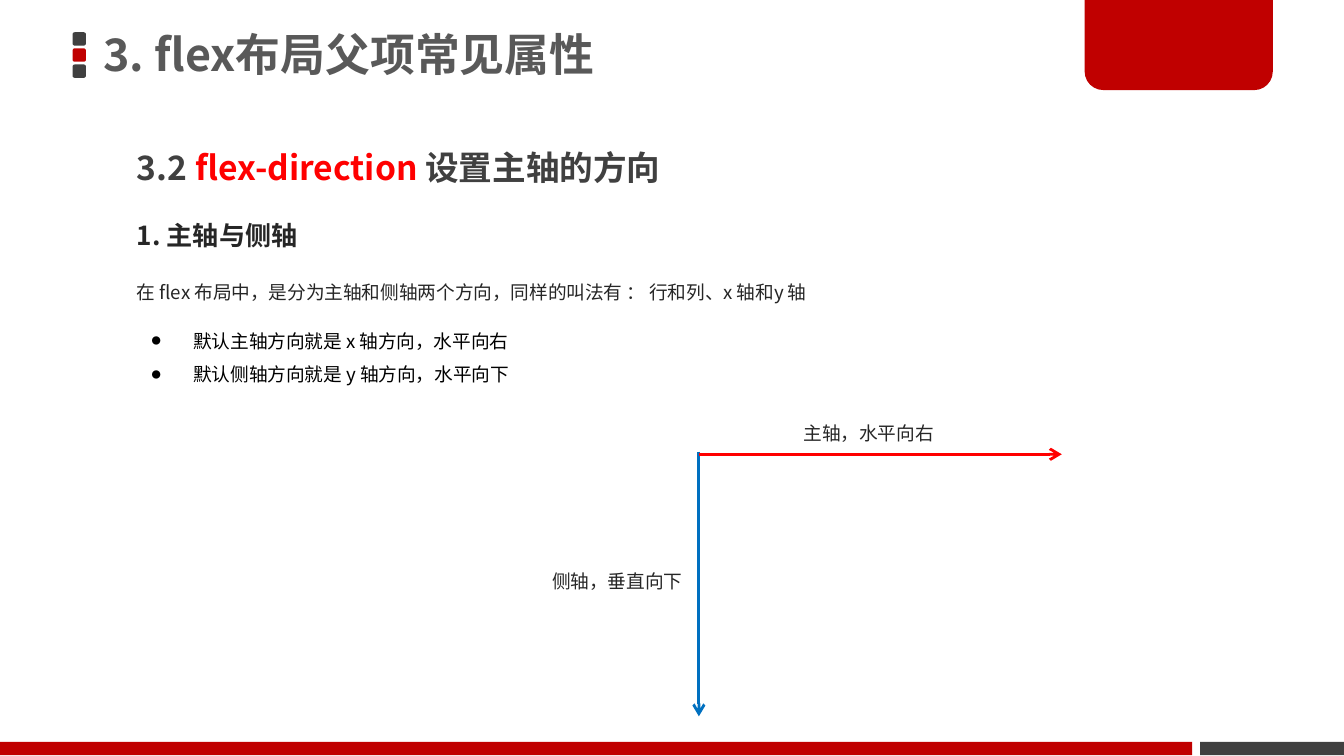
"""Build the slide explaining the main and cross axes of a flex layout."""
import dataclasses

import lxml.etree
import pptx
import pptx.dml.color
import pptx.enum.shapes
import pptx.enum.text
import pptx.oxml.ns
import pptx.util

Inches = pptx.util.Inches
Shapes = pptx.enum.shapes.MSO_SHAPE
Anchor = pptx.enum.text.MSO_ANCHOR
AutoSize = pptx.enum.text.MSO_AUTO_SIZE
qn = pptx.oxml.ns.qn

FONT = "Noto Sans CJK SC"
RED, GREY, INK = "C00000", "404040", "262626"


@dataclasses.dataclass(frozen=True)
class Box:
    left: float
    top: float
    width: float
    height: float

    def lengths(self) -> tuple:
        return tuple(Inches(value) for value in dataclasses.astuple(self))


@dataclasses.dataclass(frozen=True)
class Block:
    kind: Shapes
    box: Box
    color: str
    rotation: float = 0
    corner: float | None = None


@dataclasses.dataclass(frozen=True)
class Axis:
    start: tuple[float, float]
    end: tuple[float, float]
    color: str
    label: str
    label_box: Box


BLOCKS = [
    Block(Shapes.ROUNDED_RECTANGLE, Box(0.54, 0.24 + 0.12 * index, 0.1, 0.1), color)
    for index, color in enumerate((GREY, RED, GREY))
] + [
    Block(Shapes.RECTANGLE, Box(8.93, 5.52, 1.07, 0.1), GREY),
    Block(Shapes.ROUND_2_SAME_RECTANGLE, Box(8.07, -0.02, 1.4, 0.69), RED, 180, 0.2),
    Block(Shapes.RECTANGLE, Box(0, 5.52, 8.87, 0.1), RED),
]

AXES = [
    Axis((5.2, 3.36), (5.2, 5.33), "0070C0", "侧轴，垂直向下", Box(4.01, 4.19, 1.17, 0.27)),
    Axis((5.2, 3.38), (7.9, 3.38), "FF0000", "主轴，水平向右", Box(5.88, 3.09, 1.17, 0.27)),
]


def rgb(color: str) -> pptx.dml.color.RGBColor:
    return pptx.dml.color.RGBColor.from_string(color)


def add_block(shapes, block: Block) -> None:
    shape = shapes.add_shape(block.kind, *block.box.lengths())
    shape.shadow.inherit = False
    shape.fill.solid()
    shape.fill.fore_color.rgb = rgb(block.color)
    shape.line.fill.background()
    shape.rotation = block.rotation
    if block.corner is not None:
        shape.adjustments[0] = block.corner


def add_bullet(paragraph) -> None:
    paragraph.level = 1
    properties = paragraph._p.get_or_add_pPr()
    properties.set("marL", str(Inches(0.81)))
    properties.set("indent", str(Inches(-0.31)))
    bullet_color = lxml.etree.SubElement(properties, qn("a:buClr"))
    lxml.etree.SubElement(bullet_color, qn("a:srgbClr"), val="000000")
    lxml.etree.SubElement(properties, qn("a:buSzPct"), val="50000")
    lxml.etree.SubElement(properties, qn("a:buFont"), typeface=FONT)
    lxml.etree.SubElement(properties, qn("a:buChar"), char="●")


def write_text(frame, *lines, size: float = 10, color: str = INK, bold: bool = False,
               spacing: float = 1.5, bullets: bool = False) -> None:
    """Fill a frame; a line is a string or a list of (text, color) pairs."""
    for index, line in enumerate(lines):
        paragraph = frame.add_paragraph() if index else frame.paragraphs[0]
        paragraph.alignment = pptx.enum.text.PP_ALIGN.LEFT
        if bullets:
            add_bullet(paragraph)
        paragraph.line_spacing = spacing
        for text, run_color in [(line, color)] if isinstance(line, str) else line:
            run = paragraph.add_run()
            run.text = text
            run.font.size = pptx.util.Pt(size)
            run.font.bold = bold
            run.font.color.rgb = rgb(run_color)
            run.font.name = FONT
            lxml.etree.SubElement(run._r.get_or_add_rPr(), qn("a:ea"), typeface=FONT)


def add_text(shapes, box: Box, *lines, wrap: bool = True, **text_format) -> None:
    frame = shapes.add_textbox(*box.lengths()).text_frame
    frame.word_wrap = wrap
    frame.auto_size = AutoSize.SHAPE_TO_FIT_TEXT
    write_text(frame, *lines, **text_format)


def add_axis(shapes, axis: Axis) -> None:
    ends = (Inches(value) for value in axis.start + axis.end)
    connector = shapes.add_connector(pptx.enum.shapes.MSO_CONNECTOR.STRAIGHT, *ends)
    connector.line.color.rgb = rgb(axis.color)
    connector.line.width = pptx.util.Pt(1.5)
    lxml.etree.SubElement(connector.line._get_or_add_ln(), qn("a:tailEnd"), type="arrow")
    lxml.etree.SubElement(connector._element.spPr, qn("a:effectLst"))


def set_title(title, box: Box, text: str) -> None:
    title.left, title.top, title.width, title.height = box.lengths()
    frame = title.text_frame
    frame.word_wrap = True
    frame.auto_size = AutoSize.NONE
    frame.vertical_anchor = Anchor.MIDDLE
    frame.margin_left = frame.margin_right = Inches(0.08)
    frame.margin_top = frame.margin_bottom = Inches(0.04)
    write_text(frame, text, size=24, color="595959", bold=True, spacing=0.9)


def main() -> None:
    presentation = pptx.Presentation()
    presentation.slide_width = Inches(10)
    presentation.slide_height = Inches(10) * 9 // 16
    slide = presentation.slides.add_slide(presentation.slide_layouts.get_by_name("Title Only"))
    shapes = slide.shapes

    for block in BLOCKS:
        add_block(shapes, block)
    set_title(shapes.title, Box(0.69, -0.02, 5.89, 0.89), "3. flex布局父项常见属性")

    heading = [("3.2 ", GREY), ("flex-direction ", "FF0000"), ("设置主轴的方向", GREY)]
    add_text(shapes, Box(0.92, 0.89, 4.28, 0.55), heading, size=18, bold=True)
    add_text(shapes, Box(0.92, 1.47, 5.96, 0.45), "1. 主轴与侧轴", size=14, bold=True)
    add_text(shapes, Box(0.92, 1.96, 8.31, 0.35),
             "在 flex 布局中，是分为主轴和侧轴两个方向，同样的叫法有 ： 行和列、x 轴和y 轴")
    add_text(shapes, Box(0.53, 2.32, 8.33, 0.6),
             "默认主轴方向就是 x 轴方向，水平向右",
             "默认侧轴方向就是 y 轴方向，水平向下",
             color="000000", bullets=True)

    diagram = shapes.add_group_shape().shapes
    for axis in AXES:
        add_axis(diagram, axis)
        add_text(diagram, axis.label_box, axis.label, wrap=False, spacing=1.0)

    presentation.save("out.pptx")


if __name__ == "__main__":
    main()
